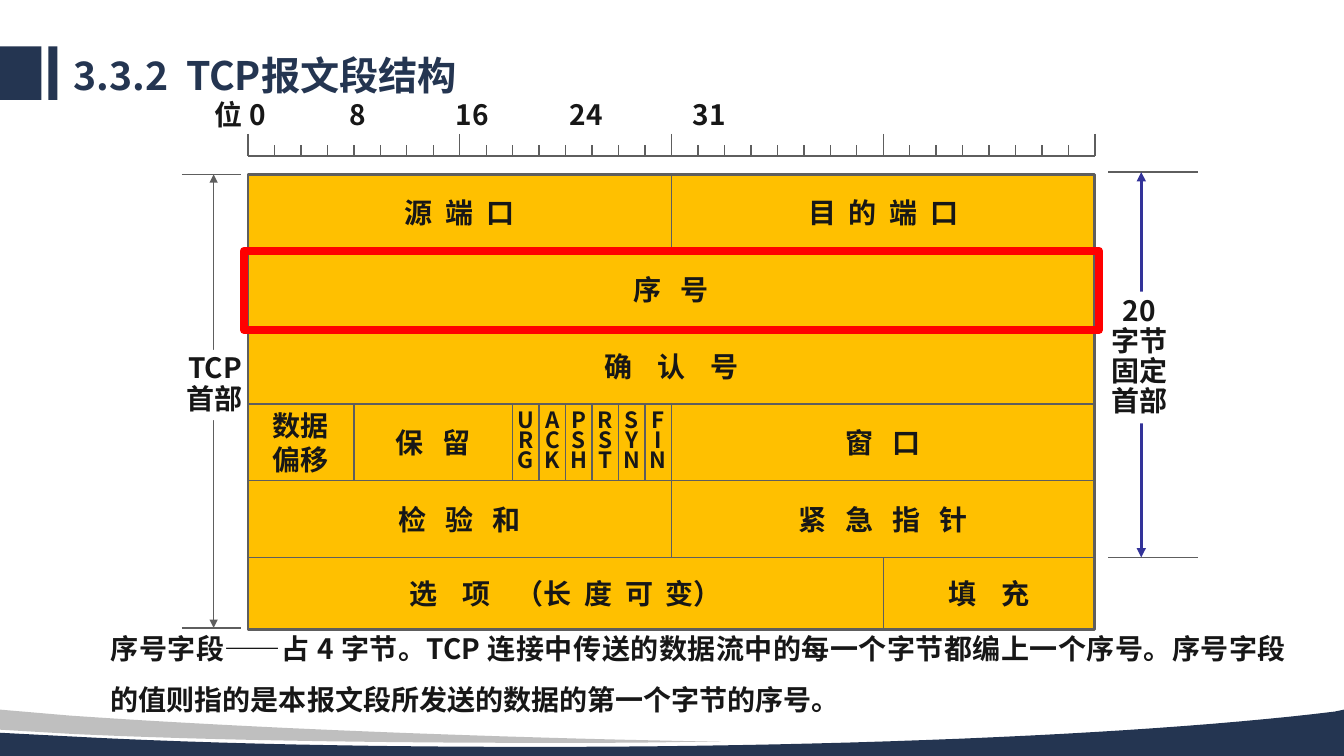
from dataclasses import dataclass
from itertools import accumulate

from lxml import etree
from pptx import Presentation, util as u
from pptx.dml.color import RGBColor
from pptx.enum import shapes, text
from pptx.oxml import ns


@dataclass(frozen=True)
class Theme:
    navy: str = "243551"
    silver: str = "BFBFBF"
    ink: str = "171717"
    rule: str = "5E5E5E"
    gold: str = "FFC000"
    blue: str = "333399"
    red: str = "FF0000"
    white: str = "FFFFFF"
    head: str = "Noto Sans CJK SC"
    body: str = "Noto Sans CJK JP"
    big: int = 28
    mid: int = 20
    small: int = 16


# Grid: one column per bit, one row per line of the header
LEFT, TOP = 2.46, 1.73
COL, ROW = 8.4 / 32, 0.76


def grid(col, row):
    return u.Inches(LEFT + col * COL), u.Inches(TOP + row * ROW)


def add(parent, tag, **attrs):
    return etree.SubElement(parent, ns.qn(tag), attrs)


def bezier(p, q, steps=24):
    """Points of a cubic curve from p; q holds two handles and the end."""
    pts = (p, q[:2], q[2:4], q[4:])
    for i in range(1, steps + 1):
        t = i / steps
        w = ((1 - t) ** 3, 3 * t * (1 - t) ** 2, 3 * t * t * (1 - t), t ** 3)
        yield tuple(sum(k * c for k, c in zip(w, axis)) for axis in zip(*pts))


class Deck:
    def __init__(self, theme):
        self.th = theme
        self.prs = Presentation()
        self.prs.slide_width = u.Inches(13.33)
        self.prs.slide_height = u.Inches(7.5)
        self.page = self.prs.slides.add_slide(self.prs.slide_layouts[5])

    def share(self, x, y):
        """A point given in percent of the slide's size."""
        return (round(self.prs.slide_width * x / 100),
                round(self.prs.slide_height * y / 100))

    def paint(self, shape, fill=None, line=None, width=1):
        shape.shadow.inherit = False
        if fill:
            shape.fill.solid()
            shape.fill.fore_color.rgb = RGBColor.from_string(fill)
        else:
            shape.fill.background()
        if line:
            shape.line.color.rgb = RGBColor.from_string(line)
            shape.line.width = u.Pt(width)
        else:
            shape.line.fill.background()

    def rect(self, a, b, **look):
        shape = self.page.shapes.add_shape(
            shapes.MSO_SHAPE.RECTANGLE, *a, b[0] - a[0], b[1] - a[1])
        self.paint(shape, **look)
        return shape

    def wave(self, start, parts, fill):
        pts = [start]
        for part in parts:
            pts.extend([part] if len(part) == 2 else bezier(pts[-1], part))
        form = self.page.shapes.build_freeform(*self.share(*start))
        form.add_line_segments([self.share(*p) for p in pts[1:]], close=True)
        self.paint(form.convert_to_shape(), fill=fill)

    def line(self, a, b, color=None, width=1, arrows=False):
        link = self.page.shapes.add_connector(
            shapes.MSO_CONNECTOR.STRAIGHT, *a, *b)
        link.line.color.rgb = RGBColor.from_string(color or self.th.rule)
        link.line.width = u.Pt(width)
        props = link.element.spPr
        if arrows:
            for tag in ("a:headEnd", "a:tailEnd"):
                add(props.find(ns.qn("a:ln")), tag, type="triangle")
        add(props, "a:effectLst")

    def fill_in(self, shape, words, size=None, face=None, color=None, align="CENTER",
                anchor="MIDDLE", space=None, gaps=(), pad=0, tabs=()):
        """Put words in a shape; gaps widen the blanks, in points."""
        frame = shape.text_frame
        frame.word_wrap = True
        frame.vertical_anchor = text.MSO_ANCHOR[anchor]
        frame.margin_left = frame.margin_right = u.Inches(pad)
        frame.margin_top = frame.margin_bottom = u.Inches(pad / 2)
        for i, row in enumerate(words.split("\n")):
            para = frame.add_paragraph() if i else frame.paragraphs[0]
            para.alignment = text.PP_ALIGN[align]
            if space:
                para.line_spacing = space
            font = para.font
            font.size, font.bold = u.Pt(size or self.th.mid), True
            font.color.rgb = RGBColor.from_string(color or self.th.ink)
            font.name = face or self.th.body
            base = para._p.pPr.find(ns.qn("a:defRPr"))
            add(base, "a:ea", typeface=font.name)
            if tabs:
                stops = add(para._p.pPr, "a:tabLst")
                base.addprevious(stops)
                for col in tabs:
                    add(stops, "a:tab", pos=str(u.Inches(col * COL)), algn="l")
            if not gaps:
                para.add_run().text = row
                continue
            for k, word in enumerate(row.split(" ")):
                if k:
                    blank = para.add_run()
                    blank.text = " "
                    wide = gaps[min(k, len(gaps)) - 1]
                    blank._r.get_or_add_rPr().set("spc", str(round(wide * 100)))
                para.add_run().text = word

    def label(self, a, b, words, **style):
        box = self.page.shapes.add_textbox(*a, b[0] - a[0], b[1] - a[1])
        self.fill_in(box, words, **style)

    def title(self, a, b, words, **style):
        box = self.page.shapes.title
        box.left, box.top = a
        box.width, box.height = b[0] - a[0], b[1] - a[1]
        self.fill_in(box, words, **style)


# Fields of each header row: words, bits, extra width of the blanks
TWO, THREE, FOUR = 4.5, 9, 13.5
FLAGS = ("URG", "ACK", "PSH", "RST", "SYN", "FIN")
FIELDS = [
    [("源 端 口", 16, [TWO]), ("目 的 端 口", 16, [TWO])],
    [("序 号", 32, [THREE])],
    [("确 认 号", 32, [FOUR])],
    [("数据\n偏移", 4, []), ("保 留", 6, [THREE]),
     *[("\n".join(flag), 1, []) for flag in FLAGS], ("窗 口", 16, [THREE])],
    [("检 验 和", 16, [THREE]), ("紧 急 指 针", 16, [THREE])],
    [("选 项 （长 度 可 变）", 24, [FOUR, FOUR, TWO]), ("填 充", 8, [FOUR])],
]
END = 5.94  # the last row is a little lower than the others


def main():
    th = Theme()
    deck = Deck(th)
    share = deck.share

    # Page frame and title
    for x, right in ((0, 3.08), (3.6, 4.28)):
        deck.rect(share(x, 6.13), share(right, 13.2), fill=th.navy)
    deck.wave((100, 93.87), [
        (100, 100), (0, 100), (0, 96.93), (5.78, 97.47),
        (15.9, 98.4, 27.53, 98.8, 39.91, 98.8),
        (64.67, 98.8, 86.5, 96.93, 99.32, 94.13)], th.navy)
    deck.wave((0, 93.87), [
        (5.25, 94.67), (17.18, 96.13, 31.28, 97.2, 46.66, 97.87),
        (53.64, 98.13), (51.31, 98.13),
        (48.01, 98.27, 44.56, 98.27, 41.11, 98.27),
        (27.08, 98.27, 14.4, 97.87, 5.18, 97.07), (0, 96.53)], th.silver)
    deck.title(share(4.73, 6.8), share(79.6, 13.73), "3.3.2 TCP报文段结构",
               size=th.big, face=th.head, color=th.navy, align="LEFT",
               space=0.9, gaps=[6.3], pad=0.1)

    # Bit ruler
    deck.label(grid(-1.25, -1.07), grid(32, -0.5), "位 0\t8\t16\t24\t31",
               align="LEFT", tabs=(5.1, 9.1, 13.4, 18.05))
    deck.line(grid(0, -0.24), grid(32, -0.24))
    for bit in range(33):
        deck.line(grid(bit, -0.38 if bit % 8 else -0.53), grid(bit, -0.24))

    # Spans on both sides: ticks, arrow, name
    spans = [
        (-2.5, -0.25, -1.3, 0, 5.92, th.rule, 1, (-2.7, 2.29, 0.92), "TCP\n首部"),
        (32.5, 35.9, 33.75, -0.03, 5, th.blue, 2.25, (32.23, 1.53, 1.72),
         "20\n字节\n固定\n首部"),
    ]
    for x, right, mid, top, low, color, width, (col, row, tall), name in spans:
        for y in (top, low):
            deck.line(grid(x, y), grid(right, y))
        deck.line(grid(mid, top), grid(mid, low), color, width, arrows=True)
        plate = deck.rect(grid(col, row), grid(col + 2.9, row + tall), fill=th.white)
        deck.fill_in(plate, name, space=0.9)

    # Header fields
    deck.rect(grid(0, 0), grid(32, END), fill=th.gold, line=th.rule, width=2)
    for row, cells in enumerate(FIELDS):
        low = min(row + 1, END)
        if row:
            deck.line(grid(0, row), grid(32, row))
        ends = accumulate(bits for _, bits, _ in cells)
        for (words, bits, gaps), end in zip(cells, ends):
            flag = bits == 1
            deck.label(grid(end - bits, row), grid(end, low), words, gaps=gaps,
                       size=th.small if flag else th.mid,
                       space=0.75 if flag else None)
            if end < 32:
                deck.line(grid(end, row), grid(end, low))

    # Highlight and explanation of the sequence number
    deck.rect(grid(-0.15, 1), grid(32.15, 2.03), line=th.red, width=6)
    deck.label(share(7.5, 80.67), share(96.4, 95.47),
               "序号字段——占 4 字节。TCP 连接中传送的数据流中的每一个字节都编上一个序号。"
               "序号字段的值则指的是本报文段所发送的数据的第一个字节的序号。",
               align="JUSTIFY", anchor="TOP", space=1.5, pad=0.1)

    deck.prs.save("out.pptx")


if __name__ == "__main__":
    main()
